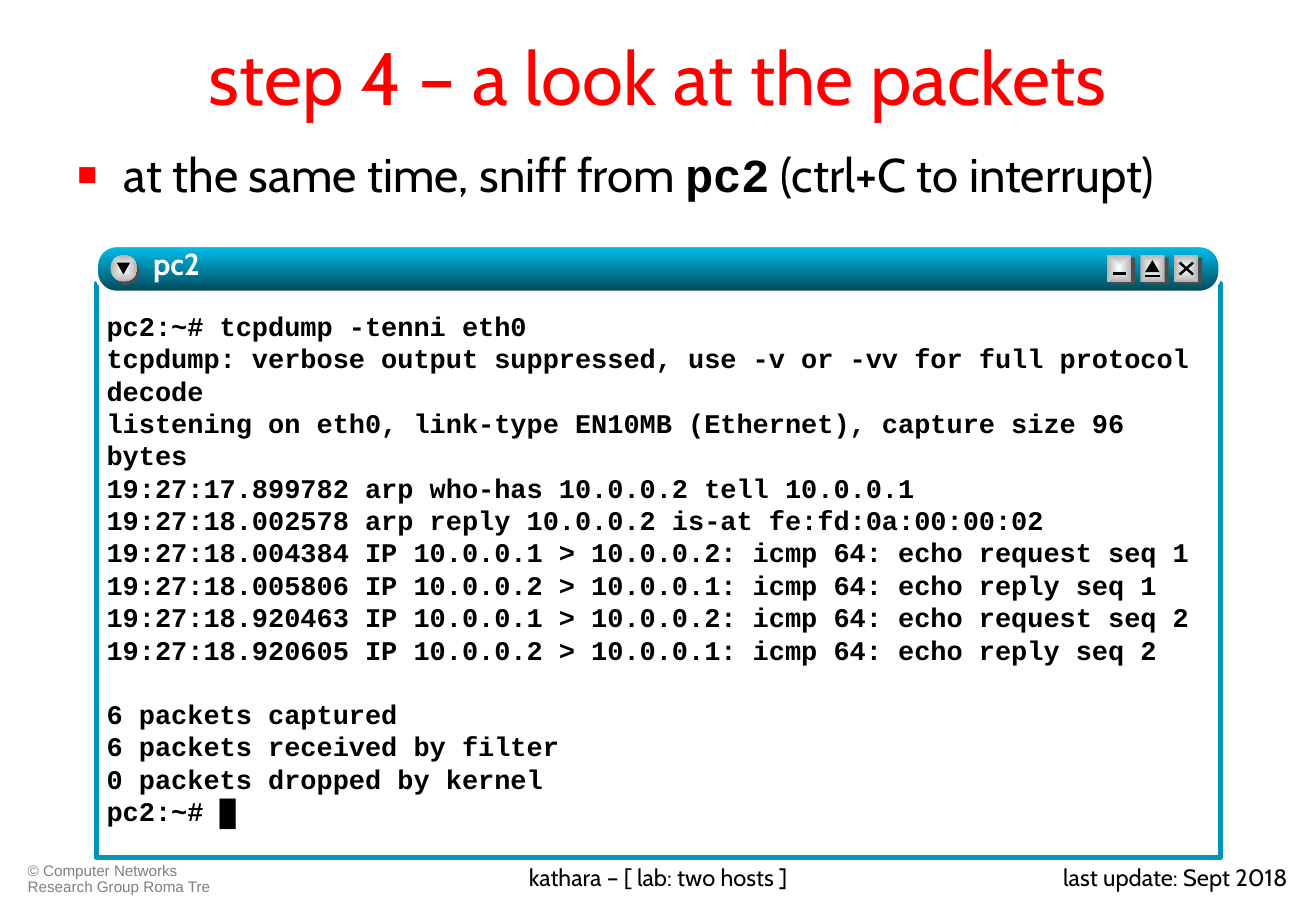
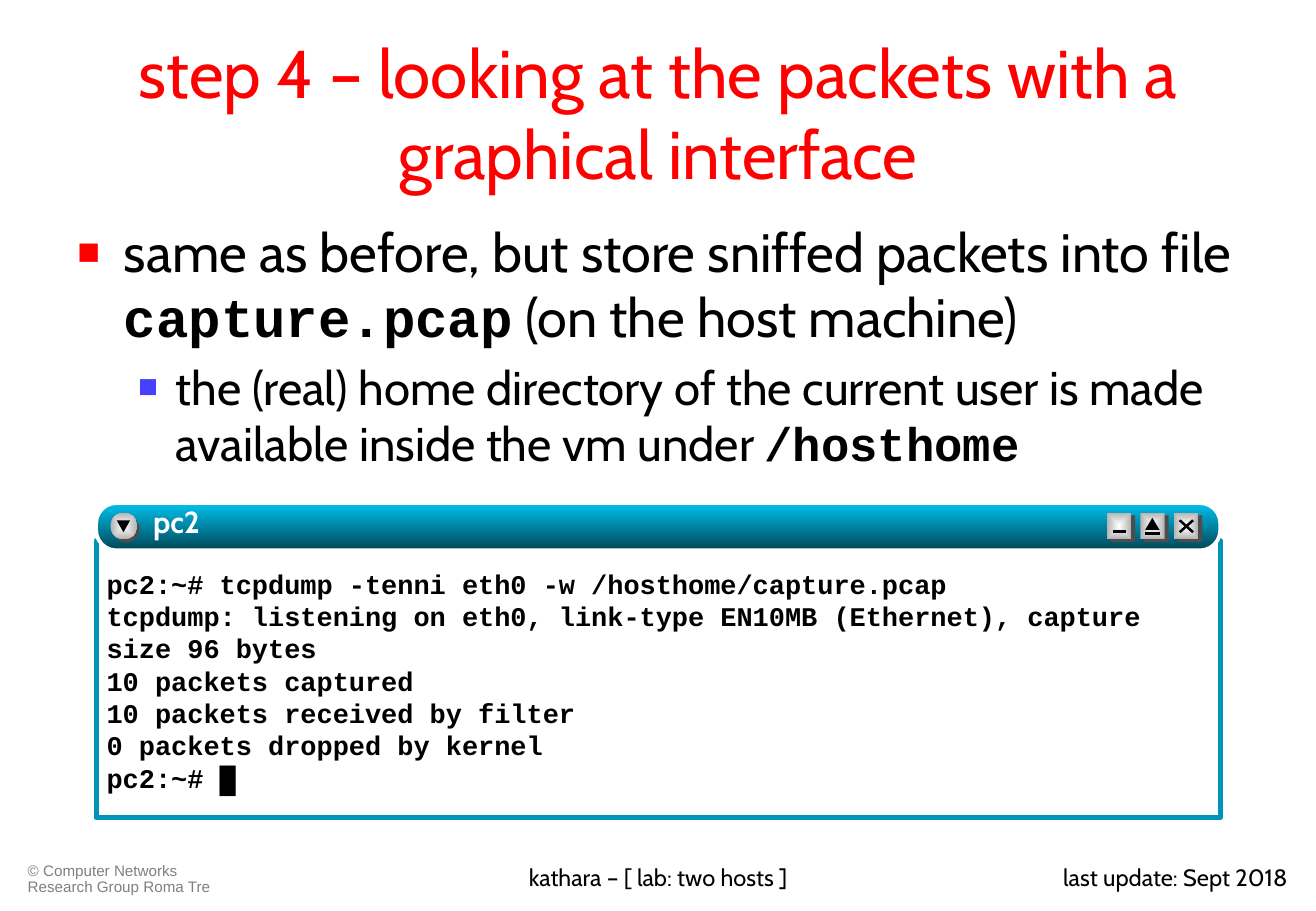
from lxml import etree
from pptx import Presentation
from pptx.dml.color import RGBColor
from pptx.enum.shapes import MSO_CONNECTOR, MSO_SHAPE
from pptx.enum.text import MSO_ANCHOR, MSO_AUTO_SIZE, PP_ALIGN
from pptx.oxml import parse_xml
from pptx.oxml.ns import nsdecls, qn
from pptx.util import Cm, Pt

RECT, ROUND = MSO_SHAPE.RECTANGLE, MSO_SHAPE.ROUNDED_RECTANGLE
OVAL, PEAK = MSO_SHAPE.OVAL, MSO_SHAPE.ISOSCELES_TRIANGLE
LINE = MSO_CONNECTOR.STRAIGHT
LEFT, MID, RIGHT = PP_ALIGN.LEFT, PP_ALIGN.CENTER, PP_ALIGN.RIGHT

# Shared style
hue = RGBColor.from_string
BLACK, WHITE, RED, BLUE = "000000", "FFFFFF", "FF0000", "483FFF"
GREY, DARK, TEAL = "808080", "4D4D4D", "0095B8"
SANS, MONO, PLAIN = "Cabin", "Courier New", "Arial"
BAR = ("00C1EE", "004656", '<a:lin ang="5400000" scaled="1"/>')
FACE = (WHITE, "B2B2B2", '<a:path path="rect"><a:fillToRect l="50000" '
        't="50000" r="50000" b="50000"/></a:path>')
FOOT = [
    ("© Computer Networks Research Group Roma Tre", 0.33, 4.78, LEFT, 9, PLAIN, GREY, 0.9),
    ("kathara – [ lab: two hosts ]", 7.04, 13.44, MID, 14, SANS, BLACK, 1),
    ("last update: Sept 2018", 20.9, 6.27, RIGHT, 14, SANS, BLACK, 1),
]
LEVELS = [(0.97, 0.97, RED), (2.06, 0.79, BLUE)]  # margin, hang, bullet colour


def draw(home, kind, at, fill=None):
    """Add a shape, or a text box when kind is None; at is in cm."""
    place = [Cm(v) for v in at]
    if kind is None:
        box = home.add_textbox(*place)
        box.text_frame.word_wrap = True
        return box
    shape = home.add_shape(kind, *place)
    shape.shadow.inherit = False
    shape.line.fill.background()
    if isinstance(fill, tuple):
        start, end, way = fill
        shape.fill.background()
        old = shape._element.spPr.find(qn("a:noFill"))
        old.getparent().replace(old, parse_xml(
            f'<a:gradFill {nsdecls("a")} rotWithShape="1"><a:gsLst>'
            f'<a:gs pos="0"><a:srgbClr val="{start}"/></a:gs>'
            f'<a:gs pos="100000"><a:srgbClr val="{end}"/></a:gs>'
            f'</a:gsLst>{way}</a:gradFill>'))
    else:
        shape.fill.solid()
        shape.fill.fore_color.rgb = hue(fill)
    return shape


def write(para, text, size, color=BLACK, face=SANS, bold=False):
    run = para.add_run()
    run.text = text
    font = run.font
    font.size, font.name, font.bold = Pt(size), face, bold
    font.color.rgb = hue(color)
    return run


# Slide content: body runs in MONO are the odd ones; terminal text in blocks
PAGES = [
    dict(
        title="step 4 – a look at the packets", size=44, top=0,
        body_at=(1.37, 2.92, 24.77, 2.59),
        body=[(28, ["at the same time, sniff from ", "pc2", " (ctrl+C to interrupt)"])],
        bar=5.13, tall=12.01,
        term=[[
            "pc2:~# tcpdump -tenni eth0",
            "tcpdump: verbose output suppressed, use -v or -vv for full protocol decode",
            "listening on eth0, link-type EN10MB (Ethernet), capture size 96 bytes",
            "19:27:17.899782 arp who-has 10.0.0.2 tell 10.0.0.1",
            "19:27:18.002578 arp reply 10.0.0.2 is-at fe:fd:0a:00:00:02",
            "19:27:18.004384 IP 10.0.0.1 > 10.0.0.2: icmp 64: echo request seq 1",
            "19:27:18.005806 IP 10.0.0.2 > 10.0.0.1: icmp 64: echo reply seq 1",
            "19:27:18.920463 IP 10.0.0.1 > 10.0.0.2: icmp 64: echo request seq 2",
            "19:27:18.920605 IP 10.0.0.2 > 10.0.0.1: icmp 64: echo reply seq 2",
        ], [
            "6 packets captured",
            "6 packets received by filter",
            "0 packets dropped by kernel",
            "pc2:~# █",
        ]]),
    dict(
        title="step 4 – looking at the packets with a graphical interface",
        size=40, top=0.76,
        body_at=(1.37, 4.45, 24.77, 12.57),
        body=[
            (32, ["same as before, but store sniffed packets into file ",
                  "capture.pcap", " (on the host machine)"]),
            (28, ["the (real) home directory of the current user is made "
                  "available inside the vm under ", "/hosthome"]),
        ],
        bar=10.52, tall=5.79,
        term=[[
            "pc2:~# tcpdump -tenni eth0 -w /hosthome/capture.pcap",
            "tcpdump: listening on eth0, link-type EN10MB (Ethernet), capture size 96 bytes",
            "10 packets captured",
            "10 packets received by filter",
            "0 packets dropped by kernel",
            "pc2:~# █",
        ]]),
]

# Window buttons: strokes (x1, y1, x2, y2) from the button's left and bar's top
BUTTONS = [
    [(0.12, 0.59, 0.4, 0.59)],
    [(0.1, 0.64, 0.4, 0.64)],
    [(0.12, 0.61, 0.4, 0.36), (0.12, 0.36, 0.4, 0.61)],
]

prs = Presentation()
prs.slide_width, prs.slide_height = Cm(27.51), Cm(19.05)

for page in PAGES:
    slide = prs.slides.add_slide(prs.slide_layouts[5])

    # Footer
    for text, x, wide, side, size, face, color, gap in FOOT:
        para = draw(slide.shapes, None, (x, 17.93, wide, 0.91)).text_frame.paragraphs[0]
        para.alignment, para.line_spacing = side, gap
        write(para, text, size, color, face)

    # Title
    title = slide.shapes.title
    title.left, title.top = Cm(1.37), Cm(page["top"])
    title.width, title.height = Cm(24.77), Cm(3.18)
    frame = title.text_frame
    frame.auto_size, frame.vertical_anchor = MSO_AUTO_SIZE.NONE, MSO_ANCHOR.MIDDLE
    frame.paragraphs[0].alignment = MID
    write(frame.paragraphs[0], page["title"], page["size"], RED)

    # Bulleted body
    frame = draw(slide.shapes, None, page["body_at"]).text_frame
    for level, (size, parts) in enumerate(page["body"]):
        para = frame.add_paragraph() if level else frame.paragraphs[0]
        margin, hang, color = LEVELS[level]
        props = para._p.get_or_add_pPr()
        props.set("marL", str(Cm(margin)))
        props.set("indent", str(-Cm(hang)))
        tint = etree.SubElement(props, qn("a:buClr"))
        etree.SubElement(tint, qn("a:srgbClr"), val=color)
        etree.SubElement(props, qn("a:buSzPct"), val="70000")
        etree.SubElement(props, qn("a:buFont"), typeface=PLAIN)
        etree.SubElement(props, qn("a:buChar"), char="■")
        para.level = level
        if level:
            para.space_before = Pt(size * 0.2)
        for i, part in enumerate(parts):
            code = i % 2 == 1
            write(para, part, size, face=MONO if code else SANS, bold=code)

    # Terminal window
    win, bar = slide.shapes.add_group_shape().shapes, page["bar"]
    pane = draw(win, RECT, (2.01, bar + 0.79, 23.5, page["tall"]), WHITE)
    pane.line.color.rgb, pane.line.width = hue(TEAL), Pt(3)

    frame = draw(win, None, (2.03, bar + 1.24, 23.47, page["tall"] - 0.56)).text_frame
    frame.margin_left = frame.margin_right = Cm(0.2)
    frame.margin_top = frame.margin_bottom = Cm(0.1)
    for b, block in enumerate(page["term"]):
        for i, text in enumerate(block):
            para = frame.add_paragraph() if b or i else frame.paragraphs[0]
            if b and not i:
                para.space_before = Pt(19)
            write(para, text, 16, face=MONO, bold=True)

    # Title bar and menu knob
    strip = draw(win, ROUND, (2.01, bar, 23.5, 0.99), BAR)
    strip.adjustments[0] = 0.43
    strip.line.color.rgb, strip.line.width = hue(WHITE), Pt(2.25)
    draw(win, OVAL, (2.36, bar + 0.27, 0.56, 0.56), DARK)
    draw(win, OVAL, (2.31, bar + 0.2, 0.56, 0.56), FACE)
    draw(win, PEAK, (2.44, bar + 0.36, 0.28, 0.25), BLACK).rotation = 180

    # Window buttons
    for i, strokes in enumerate(BUTTONS):
        x = 23.14 + 0.7 * i
        draw(win, RECT, (x + 0.08, bar + 0.26, 0.51, 0.56), DARK)
        draw(win, RECT, (x, bar + 0.2, 0.51, 0.56), FACE)
        for x1, y1, x2, y2 in strokes:
            line = win.add_connector(LINE, Cm(x + x1), Cm(bar + y1), Cm(x + x2), Cm(bar + y2))
            line.line.color.rgb, line.line.width = hue(BLACK), Pt(1.5)
            etree.SubElement(line._element.spPr, qn("a:effectLst"))
        if i == 1:
            draw(win, PEAK, (x + 0.1, bar + 0.31, 0.3, 0.25), BLACK)

    # Window name with a text shadow
    frame = draw(win, None, (3.2, bar, 18.39, 0.99)).text_frame
    frame.margin_left = frame.margin_right = frame.margin_top = frame.margin_bottom = 0
    run = write(frame.paragraphs[0], "pc2", 18, WHITE, bold=True)
    run.font._element.find(qn("a:solidFill")).addnext(parse_xml(
        f'<a:effectLst {nsdecls("a")}><a:outerShdw dist="38100" dir="2700000">'
        f'<a:srgbClr val="{BLACK}"/></a:outerShdw></a:effectLst>'))

prs.save("out.pptx")
